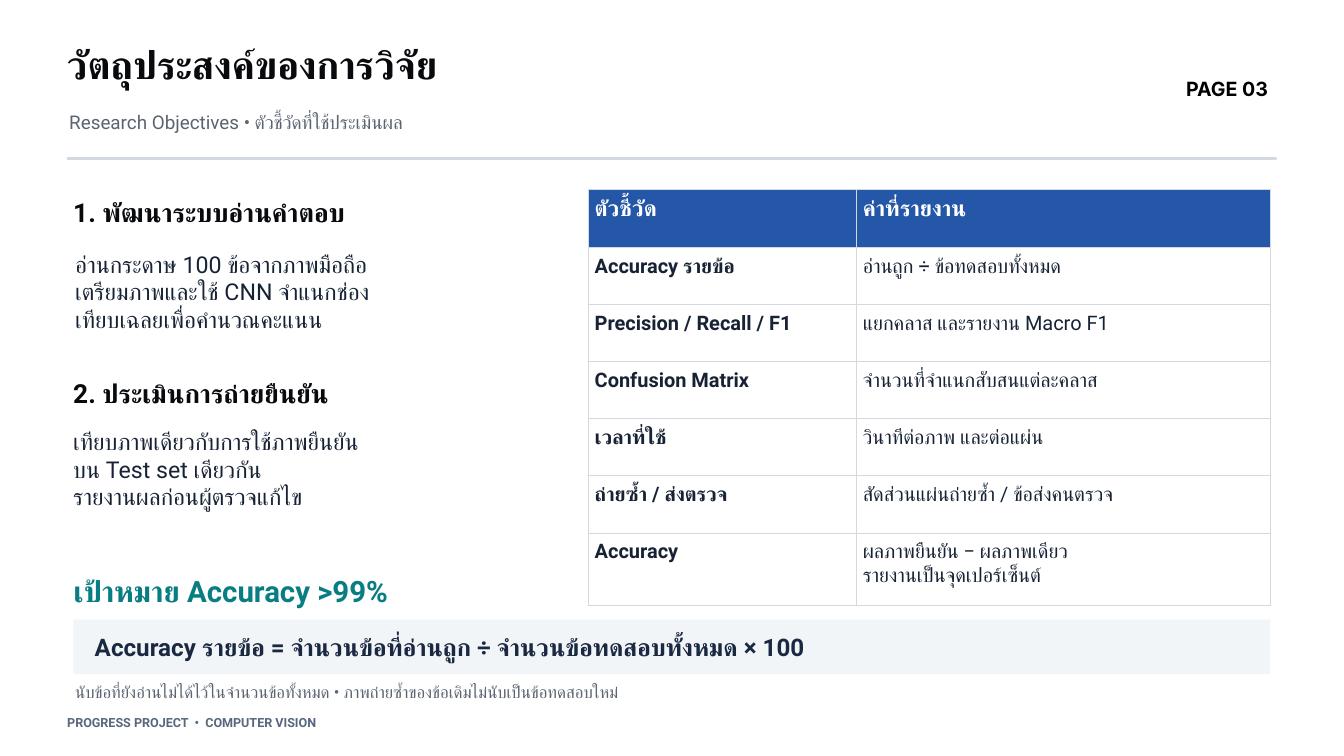
from lxml.etree import SubElement
from pptx import Presentation
from pptx.dml.color import RGBColor
from pptx.enum.shapes import MSO_SHAPE as Shape
from pptx.enum.text import MSO_ANCHOR as Anchor, PP_ALIGN as Align
from pptx.oxml.ns import qn
from pptx.util import Emu, Pt

PX = 9144
INK = "080A0D"
BODY = "172335"
MUTED = "5B6572"
LINE = "D4D9E0"
BLUE = "2457A7"
WHITE = "FFFFFF"

METRICS = [
    ("ตัวชี้วัด", "ค่าที่รายงาน"),
    ("Accuracy รายข้อ", "อ่านถูก ÷ ข้อทดสอบทั้งหมด"),
    ("Precision / Recall / F1", "แยกคลาส และรายงาน Macro F1"),
    ("Confusion Matrix", "จำนวนที่จำแนกสับสนแต่ละคลาส"),
    ("เวลาที่ใช้", "วินาทีต่อภาพ และต่อแผ่น"),
    ("ถ่ายซ้ำ / ส่งตรวจ", "สัดส่วนแผ่นถ่ายซ้ำ / ข้อส่งคนตรวจ"),
    ("Accuracy", "ผลภาพยืนยัน − ผลภาพเดียว\nรายงานเป็นจุดเปอร์เซ็นต์"),
]


def px(*lengths):
    return [Emu(length * PX) for length in lengths]


def color(value):
    return RGBColor.from_string(value)


def write(frame, text, size, leading, fill=BODY, bold=False, font="Roboto",
          align=Align.LEFT, anchor=Anchor.TOP, inset=0):
    frame.word_wrap = True
    frame.vertical_anchor = anchor
    frame.margin_left = frame.margin_right = Emu(inset * PX)
    frame.margin_top = frame.margin_bottom = Emu(inset * PX)
    for index, line in enumerate(text.split("\n")):
        para = frame.add_paragraph() if index else frame.paragraphs[0]
        para.alignment = align
        para.line_spacing = Pt(leading)
        para.space_before = Pt(0)
        span = para.add_run()
        span.text = line
        span.font.size = Pt(size)
        span.font.bold = bold
        span.font.color.rgb = color(fill)
        span.font.name = font
        for tag in ("a:ea", "a:cs"):
            SubElement(span.font._element, qn(tag), typeface=font)


def add_text(page, box, text, **style):
    write(page.shapes.add_textbox(*px(*box)).text_frame, text, **style)


def add_bar(page, box, fill):
    bar = page.shapes.add_shape(Shape.RECTANGLE, *px(*box))
    bar.shadow.inherit = False
    bar.fill.solid()
    bar.fill.fore_color.rgb = color(fill)
    bar.line.fill.background()


def add_header(page, left, top, width):
    title = page.shapes.title
    title.left, title.top, title.width, title.height = px(left, top, 1750, 89)
    write(title.text_frame, "วัตถุประสงค์ของการวิจัย",
          size=41.6, leading=50, fill=INK, bold=True)
    add_text(page, (left + 3, top + 104, 1719, 48),
             "Research Objectives • ตัวชี้วัดที่ใช้ประเมินผล",
             size=20.2, leading=24.3, fill=MUTED)
    add_text(page, (left + width - 165, top + 48, 152, 39), "PAGE 03", size=21,
             leading=29.4, fill="000000", bold=True, font="Inter", align=Align.RIGHT)
    add_bar(page, (left, top + 174, width, 4), LINE)


def add_objective(page, left, top, heading, text, indent, gap):
    add_text(page, (left, top, 703, 60), heading,
             size=28.1, leading=33.8, fill=INK, bold=True)
    add_text(page, (left + indent, top + gap, 703, 142), text, size=24.8, leading=29.7)


def add_borders(cell):
    properties = cell._tc.get_or_add_tcPr()
    for index, tag in enumerate(("a:lnL", "a:lnR", "a:lnT", "a:lnB")):
        border = SubElement(properties, qn(tag), w=str(Pt(0.75)))
        fill = SubElement(border, qn("a:solidFill"))
        SubElement(fill, qn("a:srgbClr"), val=LINE)
        properties.insert(index, border)


def add_metrics(page, left, top, width, height):
    table = page.shapes.add_table(len(METRICS), 2, *px(left, top, width, height)).table
    table.horz_banding = False
    for column, length in zip(table.columns, px(399, width - 399)):
        column.width = length
    for row, length in zip(table.rows, px(87, *[85] * 5, height - 512)):
        row.height = length
    for row, texts in enumerate(METRICS):
        head = row == 0
        for column, text in enumerate(texts):
            cell = table.cell(row, column)
            cell.fill.solid()
            cell.fill.fore_color.rgb = color(BLUE if head else WHITE)
            add_borders(cell)
            cell.margin_left = cell.margin_right = Emu(10 * PX)
            cell.margin_top = cell.margin_bottom = Emu(10 * PX)
            write(cell.text_frame, text, size=23.6 if head else 21.4,
                  leading=28.4 if head else 25.6, fill=WHITE if head else BODY,
                  bold=head or column == 0, align=Align.JUSTIFY, inset=10)


def add_target(page, left, top, width):
    add_text(page, (left, top, 548, 52), "เป้าหมาย Accuracy >99%",
             size=31.5, leading=37.8, fill="087E83", bold=True)
    add_bar(page, (left, top + 69, width, 81), "F2F5F7")
    add_text(page, (left + 32, top + 88, 1719, 52),
             "Accuracy รายข้อ = จำนวนข้อที่อ่านถูก ÷ จำนวนข้อทดสอบทั้งหมด × 100",
             size=25.9, leading=31, fill="1A2842", bold=True)
    add_text(page, (left + 3, top + 162, 1773, 32),
             "นับข้อที่ยังอ่านไม่ได้ไว้ในจำนวนข้อทั้งหมด • ภาพถ่ายซ้ำของข้อเดิมไม่นับเป็นข้อทดสอบใหม่",
             size=18, leading=21.6, fill=MUTED)


def add_footer(page, left, top, width):
    add_text(page, (left, top, width, 32), "PROGRESS PROJECT  •  COMPUTER VISION",
             size=13.5, leading=16.2, fill="58677F", bold=True, anchor=Anchor.MIDDLE)


def main():
    deck = Presentation()
    deck.slide_width, deck.slide_height = px(2000, 1125)
    page = deck.slides.add_slide(deck.slide_layouts[5])
    page.background.fill.solid()
    page.background.fill.fore_color.rgb = color(WHITE)
    add_header(page, 100, 60, 1800)
    add_objective(page, 109, 292, "1. พัฒนาระบบอ่านคำตอบ",
                  "อ่านกระดาษ 100 ข้อจากภาพมือถือ\nเตรียมภาพและใช้ CNN จำแนกช่อง\n"
                  "เทียบเฉลยเพื่อคำนวณคะแนน", indent=3, gap=80)
    add_objective(page, 109, 562, "2. ประเมินการถ่ายยืนยัน",
                  "เทียบภาพเดียวกับการใช้ภาพยืนยัน\nบน Test set เดียวกัน\n"
                  "รายงานผลก่อนผู้ตรวจแก้ไข", indent=0, gap=74)
    add_metrics(page, 875, 281, 1015, 620)
    add_target(page, 109, 853, 1781)
    add_footer(page, 100, 1059, 1172)
    deck.save("out.pptx")


if __name__ == "__main__":
    main()
